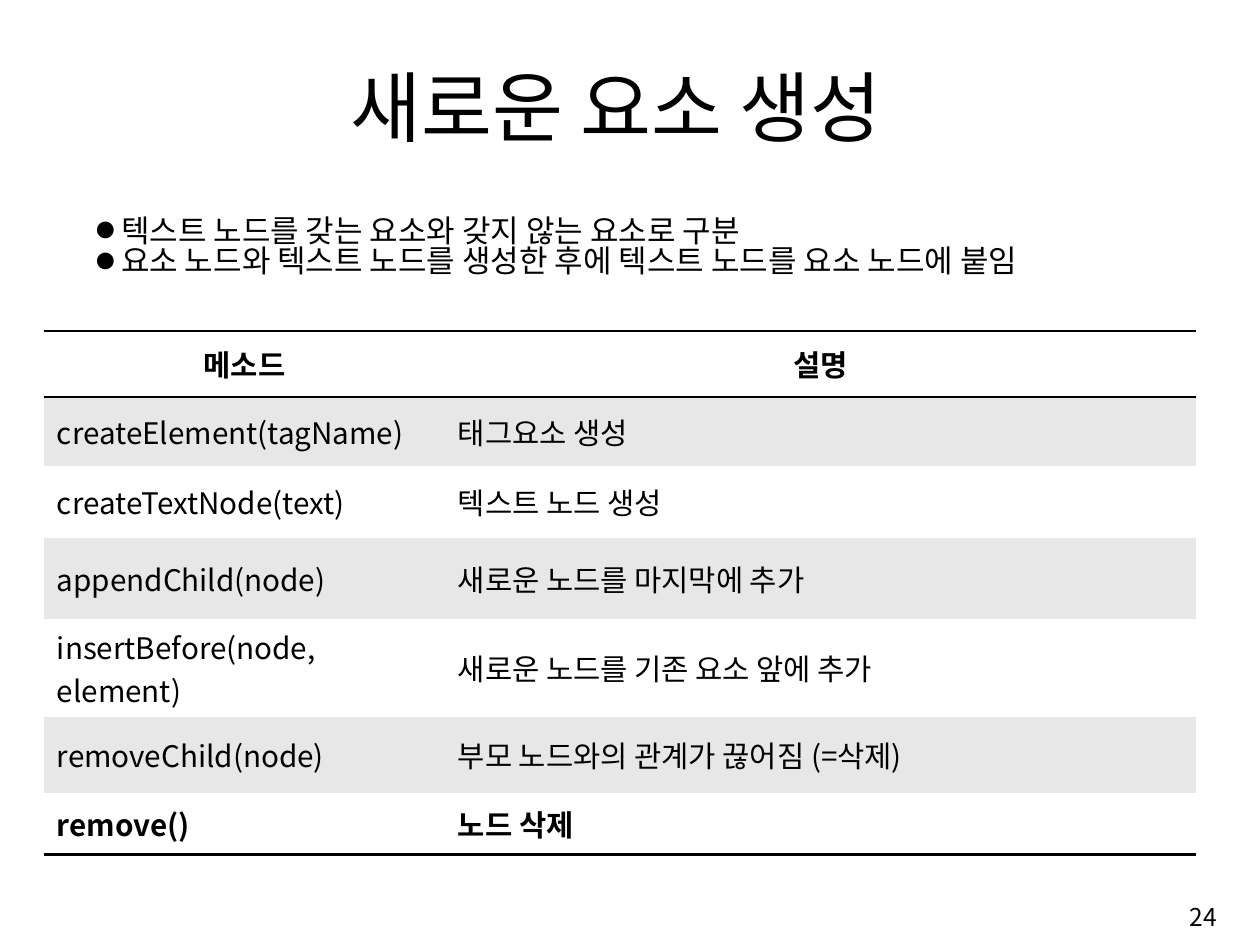
from lxml import etree
from pptx import Presentation
from pptx.dml.color import RGBColor
from pptx.enum.text import MSO_ANCHOR, MSO_AUTO_SIZE, PP_ALIGN
from pptx.oxml.ns import qn
from pptx.util import Pt

EMU_PER_PX = 914400 / 97
FONT = "Noto Sans CJK KR"
COLORS = {"text": "000000", "rule": "000000", "plain": "FFFFFF", "band": "E7E7E7"}
LEFT, CENTER, RIGHT = PP_ALIGN.LEFT, PP_ALIGN.CENTER, PP_ALIGN.RIGHT
MIDDLE, BOTTOM = MSO_ANCHOR.MIDDLE, MSO_ANCHOR.BOTTOM
NO_AUTOFIT = MSO_AUTO_SIZE.NONE
TITLE_AND_CONTENT = 1

BULLETS = [
    "텍스트 노드를 갖는 요소와 갖지 않는 요소로 구분",
    "요소 노드와 텍스트 노드를 생성한 후에 텍스트 노드를 요소 노드에 붙임",
]
METHODS = [
    ("메소드", "설명"),
    ("createElement(tagName)", "태그요소 생성"),
    ("createTextNode(text)", "텍스트 노드 생성"),
    ("appendChild(node)", "새로운 노드를 마지막에 추가"),
    ("insertBefore(node, element)", "새로운 노드를 기존 요소 앞에 추가"),
    ("removeChild(node)", "부모 노드와의 관계가 끊어짐 (=삭제)"),
    ("remove()", "노드 삭제"),
]
COLUMN_WIDTHS = [401, 751]
ROW_HEIGHTS = [66, 69, 72, 81, 77, 76, 62]
RULED_EDGES = {0, 1, len(METHODS)}


def px(length):
    return round(length * EMU_PER_PX)


def write(paragraph, text, size, bold=False, align=LEFT):
    paragraph.alignment = align
    run = paragraph.add_run()
    run.text = text
    font = run.font
    font.name, font.size, font.bold = FONT, Pt(size), bold
    font.color.rgb = RGBColor.from_string(COLORS["text"])
    east_asian = etree.SubElement(run._r.get_or_add_rPr(), qn("a:ea"))
    east_asian.set("typeface", FONT)


def place(shape, left, top, width, height, anchor):
    """Move a text shape and return its text frame with fixed margins."""
    shape.left, shape.top = px(left), px(top)
    shape.width, shape.height = px(width), px(height)
    frame = shape.text_frame
    frame.word_wrap = True
    frame.auto_size = NO_AUTOFIT
    frame.vertical_anchor = anchor
    frame.margin_left = frame.margin_right = px(11)
    frame.margin_top = frame.margin_bottom = 0
    return frame


def add_bullet(paragraph):
    properties = paragraph._p.get_or_add_pPr()
    properties.set("marL", str(px(25)))
    properties.set("indent", str(-px(25)))
    for tag, name, value in (
        ("a:buSzPct", "val", "60000"),
        ("a:buFont", "typeface", FONT),
        ("a:buChar", "char", "●"),
    ):
        etree.SubElement(properties, qn(tag)).set(name, value)


def fill_bullets(frame):
    for index, text in enumerate(BULLETS):
        paragraph = frame.add_paragraph() if index else frame.paragraphs[0]
        write(paragraph, text, 23)
        paragraph.space_before = Pt(0)
        paragraph.line_spacing = 0.82
        add_bullet(paragraph)


def set_border(cell, tag, ruled):
    line = etree.SubElement(cell._tc.get_or_add_tcPr(), qn(tag))
    line.set("w", str(Pt(2) if ruled else 0))
    if ruled:
        fill = etree.SubElement(line, qn("a:solidFill"))
        etree.SubElement(fill, qn("a:srgbClr")).set("val", COLORS["rule"])
    else:
        etree.SubElement(line, qn("a:noFill"))


def format_cell(cell, row):
    cell.vertical_anchor = MIDDLE
    cell.margin_left = cell.margin_right = px(13)
    cell.margin_top = cell.margin_bottom = px(6)
    set_border(cell, "a:lnL", False)
    set_border(cell, "a:lnR", False)
    set_border(cell, "a:lnT", row in RULED_EDGES)
    set_border(cell, "a:lnB", row + 1 in RULED_EDGES)
    cell.fill.solid()
    cell.fill.fore_color.rgb = RGBColor.from_string(COLORS["band" if row % 2 else "plain"])


def add_method_table(slide):
    frame = slide.shapes.add_table(
        len(METHODS), len(COLUMN_WIDTHS), px(44), px(331),
        px(sum(COLUMN_WIDTHS)), px(sum(ROW_HEIGHTS)))
    table = frame.table
    table.first_row = table.horz_banding = False
    for column, width in zip(table.columns, COLUMN_WIDTHS):
        column.width = px(width)
    for table_row, height in zip(table.rows, ROW_HEIGHTS):
        table_row.height = px(height)
    for row, texts in enumerate(METHODS):
        for column, text in enumerate(texts):
            cell = table.cell(row, column)
            format_cell(cell, row)
            write(cell.text_frame.paragraphs[0], text, 22,
                  bold=row in (0, len(METHODS) - 1),
                  align=LEFT if row else CENTER)


def add_page_number(slide):
    box = slide.shapes.add_textbox(0, 0, 0, 0)
    frame = place(box, 968, 888, 260, 58, MIDDLE)
    write(frame.paragraphs[0], "24", 18.2, align=RIGHT)


def main():
    presentation = Presentation()
    presentation.slide_width, presentation.slide_height = px(1260), px(945)
    slide = presentation.slides.add_slide(presentation.slide_layouts[TITLE_AND_CONTENT])
    title = place(slide.shapes.title, 102, 59, 1029, 93, BOTTOM)
    write(title.paragraphs[0], "새로운 요소 생성", 57.2, align=CENTER)
    add_method_table(slide)
    add_page_number(slide)
    fill_bullets(place(slide.placeholders[1], 85, 174, 1070, 105, BOTTOM))
    presentation.save("out.pptx")


if __name__ == "__main__":
    main()
